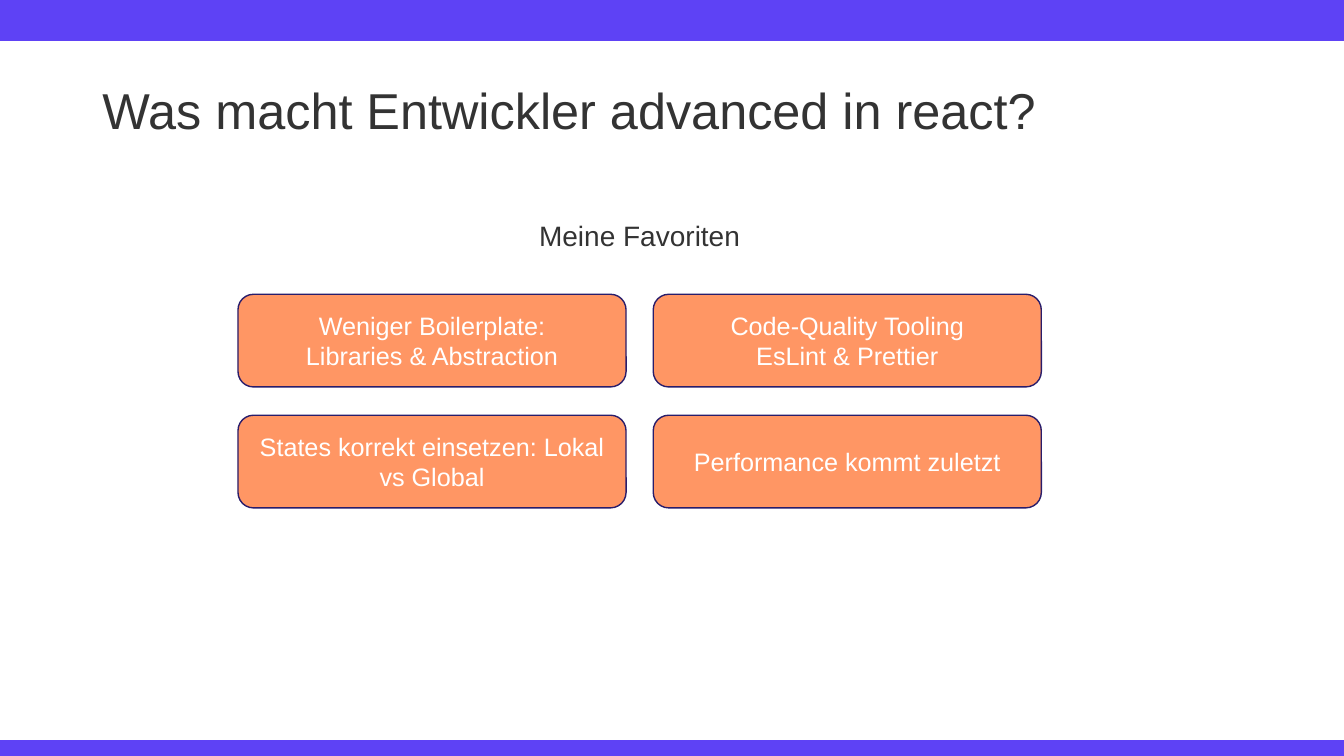
from pptx import Presentation
from pptx.dml.color import RGBColor
from pptx.enum.shapes import MSO_SHAPE
from pptx.enum.text import MSO_ANCHOR, PP_ALIGN
from pptx.util import Pt

WIDTH, HEIGHT = 960, 540
PURPLE, NAVY, ORANGE = "5E42F5", "291D6B", "FF9664"
DARK, WHITE = "333333", "FFFFFF"
LEFT, TOP = 170, 210.2
CARD_W, CARD_H = 277.2, 66.2
STEP_X, STEP_Y = 296.6, 86.4

FAVORITES = [
    ["Weniger Boilerplate:\nLibraries & Abstraction", "Code-Quality Tooling\nEsLint & Prettier"],
    ["States korrekt einsetzen: Lokal vs Global", "Performance kommt zuletzt"],
]


def rgb(value):
    return RGBColor.from_string(value)


def write(sp, text, size, color, align=PP_ALIGN.CENTER, spacing=None):
    tf = sp.text_frame
    tf.word_wrap = True
    tf.vertical_anchor = MSO_ANCHOR.MIDDLE
    tf.text = text
    for p in tf.paragraphs:
        p.alignment = align
        p.line_spacing = spacing
        p.font.name = "Arial"
        p.font.size = Pt(size)
        p.font.color.rgb = rgb(color)


def add_box(slide, kind, x, y, w, h, fill, line):
    sp = slide.shapes.add_shape(kind, Pt(x), Pt(y), Pt(w), Pt(h))
    sp.shadow.inherit = False
    sp.fill.solid()
    sp.fill.fore_color.rgb = rgb(fill)
    sp.line.color.rgb = rgb(line)
    sp.line.width = Pt(1)
    return sp


def add_bar(slide, y, h):
    add_box(slide, MSO_SHAPE.RECTANGLE, 0, y, WIDTH, h, PURPLE, PURPLE)


def set_title(slide, text):
    sp = slide.shapes.title
    sp.left, sp.top, sp.width, sp.height = Pt(66), Pt(28.8), Pt(828), Pt(104.4)
    write(sp, text, 36, DARK, PP_ALIGN.LEFT, 0.9)


def add_card(slide, x, y, text):
    sp = add_box(slide, MSO_SHAPE.ROUNDED_RECTANGLE, x, y, CARD_W, CARD_H, ORANGE, NAVY)
    write(sp, text, 18, WHITE)


def add_heading(slide, text):
    sp = slide.shapes.add_textbox(Pt(LEFT), Pt(149.8), Pt(STEP_X + CARD_W), Pt(40.3))
    write(sp, text, 20, DARK, spacing=0.9)


def main():
    prs = Presentation()
    prs.slide_width, prs.slide_height = Pt(WIDTH), Pt(HEIGHT)
    slide = prs.slides.add_slide(prs.slide_layouts[5])
    add_bar(slide, 529.2, 10.8)
    add_bar(slide, 0, 28.8)
    set_title(slide, "Was macht Entwickler advanced in react?")
    for row, texts in enumerate(FAVORITES):
        for col, text in enumerate(texts):
            add_card(slide, LEFT + col * STEP_X, TOP + row * STEP_Y, text)
    add_heading(slide, "Meine Favoriten")
    prs.save("out.pptx")


if __name__ == "__main__":
    main()
